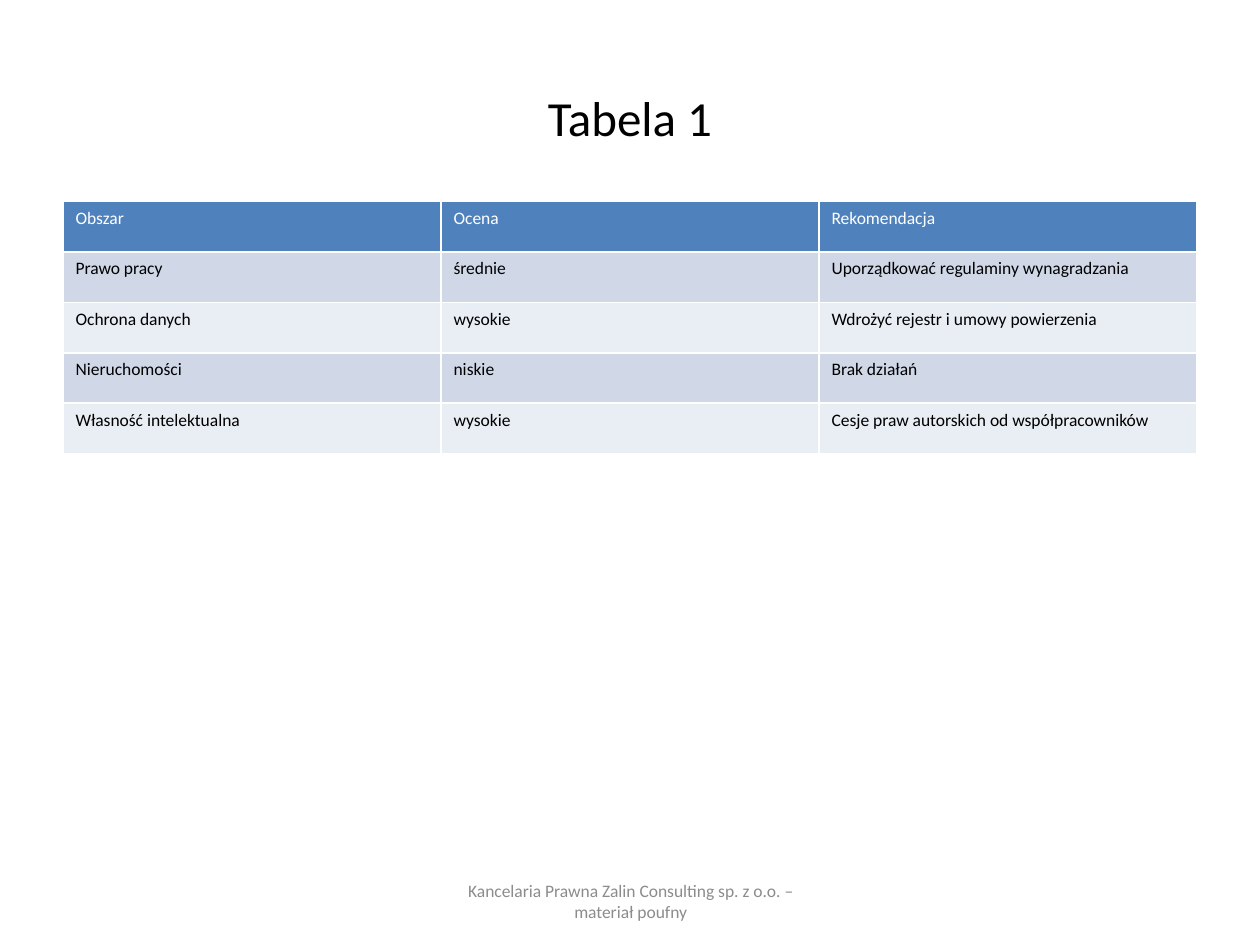
"""Build the legal review table slide with a title and a confidentiality footer."""
from pptx import Presentation
from pptx import util as u
from pptx.dml.color import RGBColor
from pptx.enum import text

COLORS = {
    "header": "4F81BD",
    "odd": "D0D8E8",
    "even": "E9EDF4",
    "white": "FFFFFF",
    "black": "000000",
    "gray": "8C8C8C",
}
ROWS = [
    ("Obszar", "Ocena", "Rekomendacja"),
    ("Prawo pracy", "średnie", "Uporządkować regulaminy wynagradzania"),
    ("Ochrona danych", "wysokie", "Wdrożyć rejestr i umowy powierzenia"),
    ("Nieruchomości", "niskie", "Brak działań"),
    ("Własność intelektualna", "wysokie", "Cesje praw autorskich od współpracowników"),
]
TEXTS = [
    ("Tabela 1", (0.5, 0.3, 9, 1.25), 28, "black"),
    ("Kancelaria Prawna Zalin Consulting sp. z o.o. – materiał poufny",
     (3.42, 6.95, 3.17, 0.4), 10, "gray"),
]


def write(paragraph, words, size, color):
    span = paragraph.add_run()
    span.text = words
    for name, value in {"name": "Calibri", "size": u.Pt(size), "bold": False}.items():
        setattr(span.font, name, value)
    span.font.color.rgb = RGBColor.from_string(COLORS[color])


deck = Presentation()
deck.slide_width, deck.slide_height = u.Inches(10), u.Inches(7.5)
page = deck.slides.add_slide(deck.slide_layouts[6])

for words, place, size, color in TEXTS:
    box = page.shapes.add_textbox(*map(u.Inches, place))
    frame = box.text_frame
    frame.word_wrap = True
    frame.vertical_anchor = text.MSO_ANCHOR.MIDDLE
    para = frame.paragraphs[0]
    para.alignment = text.PP_ALIGN.CENTER
    write(para, words, size, color)

row_height = 0.4
place = (0.5, 1.6, 9, row_height * len(ROWS))
table = page.shapes.add_table(len(ROWS), len(ROWS[0]), *map(u.Inches, place)).table
for row, entries in enumerate(ROWS):
    band = "header" if row == 0 else "odd" if row % 2 else "even"
    for column, words in enumerate(entries):
        cell = table.cell(row, column)
        cell.fill.solid()
        cell.fill.fore_color.rgb = RGBColor.from_string(COLORS[band])
        write(cell.text_frame.paragraphs[0], words, 10, "black" if row else "white")

deck.save("out.pptx")
